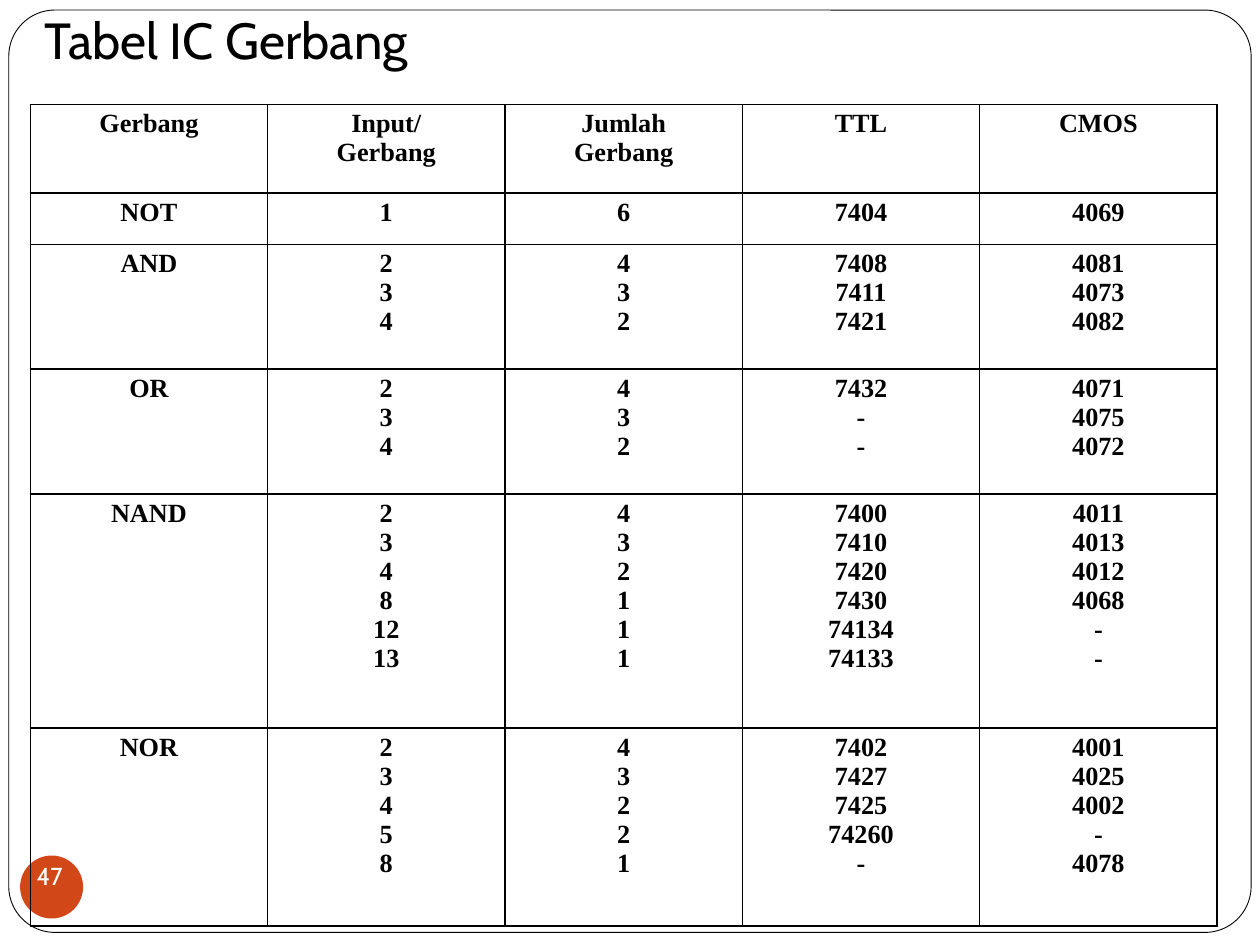
from dataclasses import dataclass
from lxml.etree import SubElement
from pptx import Presentation
from pptx.dml.color import RGBColor
from pptx.enum.shapes import MSO_SHAPE
from pptx.enum.text import PP_ALIGN
from pptx.oxml.ns import qn
from pptx.util import Inches, Pt


@dataclass(frozen=True)
class Theme:
    """Colours, fonts and type sizes of the slide."""
    ink: RGBColor = RGBColor(0, 0, 0)
    accent: RGBColor = RGBColor(0xD2, 0x47, 0x17)
    light: RGBColor = RGBColor(255, 255, 255)
    heading: str = "Cabin"
    body: str = "Times New Roman"
    title_size: int = 29
    body_size: int = 15
    number_size: int = 14


THEME = Theme()
TITLE = "Tabel IC Gerbang"
PAGE = "47"
ROW_HEIGHTS = (0.7, 0.41, 0.99, 0.99, 1.86, 1.57)
ROWS = (
    ("Gerbang", "Input/\vGerbang", "Jumlah\vGerbang", "TTL", "CMOS"),
    ("NOT", "1", "6", "7404", "4069"),
    ("AND", "2\n3\n4", "4\n3\n2", "7408\n7411\n7421", "4081\n4073\n4082"),
    ("OR", "2\n3\n4", "4\n3\n2", "7432\n-\n-", "4071\n4075\n4072"),
    ("NAND", "2\n3\n4\n8\n12\n13", "4\n3\n2\n1\n1\n1",
     "7400\n7410\n7420\n7430\n74134\n74133", "4011\n4013\n4012\n4068\n-\n-"),
    ("NOR", "2\n3\n4\n5\n8", "4\n3\n2\n2\n1",
     "7402\n7427\n7425\n74260\n-", "4001\n4025\n4002\n-\n4078"),
)


def set_attrs(obj, values):
    """Set each named attribute of an object."""
    for name, value in values.items():
        setattr(obj, name, value)


def format_font(p, name, size, color, bold=False):
    """Apply a type style to every run of a paragraph."""
    for r in p.runs:
        set_attrs(r.font, {"name": name, "size": Pt(size), "bold": bold})
        r.font.color.rgb = color


def add_shape(s, kind, box):
    """Add a preset shape with no shadow, fill or line."""
    sp = s.shapes.add_shape(kind, *map(Inches, box))
    sp.shadow.inherit = False
    sp.fill.background()
    sp.line.fill.background()
    return sp


def add_frame(s, box):
    """Draw the thin rounded frame around the slide."""
    sp = add_shape(s, MSO_SHAPE.ROUNDED_RECTANGLE, box)
    sp.adjustments[0] = 0.05
    sp.line.color.rgb = THEME.ink
    sp.line.width = Pt(0.5)


def add_title(s, box):
    """Place the slide title."""
    tf = s.shapes.add_textbox(*map(Inches, box)).text_frame
    set_attrs(tf, {"margin_left": Inches(0.01), "margin_right": 0,
                   "margin_top": Inches(0.01), "margin_bottom": 0,
                   "word_wrap": True})
    p = tf.paragraphs[0]
    p.text = TITLE
    p.space_before = Pt(1)
    format_font(p, THEME.heading, THEME.title_size, THEME.ink)


def add_badge(s, box):
    """Draw the disc behind the page number."""
    sp = add_shape(s, MSO_SHAPE.OVAL, box)
    sp.fill.solid()
    sp.fill.fore_color.rgb = THEME.accent


def add_borders(cell):
    """Outline a cell on all four sides."""
    tc_pr = cell._tc.get_or_add_tcPr()
    for i, side in enumerate(("lnL", "lnR", "lnT", "lnB")):
        ln = tc_pr.makeelement(qn(f"a:{side}"), {"w": str(Pt(1))})
        fill = SubElement(ln, qn("a:solidFill"))
        SubElement(fill, qn("a:srgbClr"), val=str(THEME.ink))
        tc_pr.insert(i, ln)


def fill_cell(cell, text):
    """Write centred bold lines into a bordered cell."""
    set_attrs(cell, {"margin_left": 0, "margin_right": 0,
                     "margin_top": Inches(0.04), "margin_bottom": 0})
    cell.fill.background()
    add_borders(cell)
    cell.text = text
    for i, p in enumerate(cell.text_frame.paragraphs):
        set_attrs(p, {"alignment": PP_ALIGN.CENTER,
                      "space_before": Pt(0 if i else 3.1)})
        format_font(p, THEME.body, THEME.body_size, THEME.ink, True)


def add_page_number(cell):
    """Write the page number low in a cell, over the badge."""
    p = cell.text_frame.add_paragraph()
    p.text = PAGE
    set_attrs(p, {"alignment": PP_ALIGN.LEFT, "space_before": Pt(57)})
    p._p.get_or_add_pPr().set("marL", str(Inches(0.05)))
    format_font(p, THEME.heading, THEME.number_size, THEME.light)


def add_gate_table(s, box):
    """Build the table of gate ICs."""
    table = s.shapes.add_table(len(ROWS), len(ROWS[0]), *map(Inches, box)).table
    set_attrs(table, {"first_row": False, "horz_banding": False})
    for col in table.columns:
        col.width = Inches(box[2] / len(ROWS[0]))
    for row, height, texts in zip(table.rows, ROW_HEIGHTS, ROWS):
        row.height = Inches(height)
        for cell, text in zip(row.cells, texts):
            fill_cell(cell, text)
    add_page_number(table.cell(len(ROWS) - 1, 0))


def main():
    """Build and save the slide."""
    prs = Presentation()
    set_attrs(prs, {"slide_width": Inches(10), "slide_height": Inches(7.5)})
    s = prs.slides.add_slide(prs.slide_layouts[6])
    add_frame(s, (0.07, 0.08, 9.86, 7.32))
    add_title(s, (0.34, 0.06, 3.2, 0.51))
    add_badge(s, (0.16, 6.79, 0.5, 0.5))
    add_gate_table(s, (0.24, 0.83, 9.42, 6.52))
    prs.save("out.pptx")


if __name__ == "__main__":
    main()
